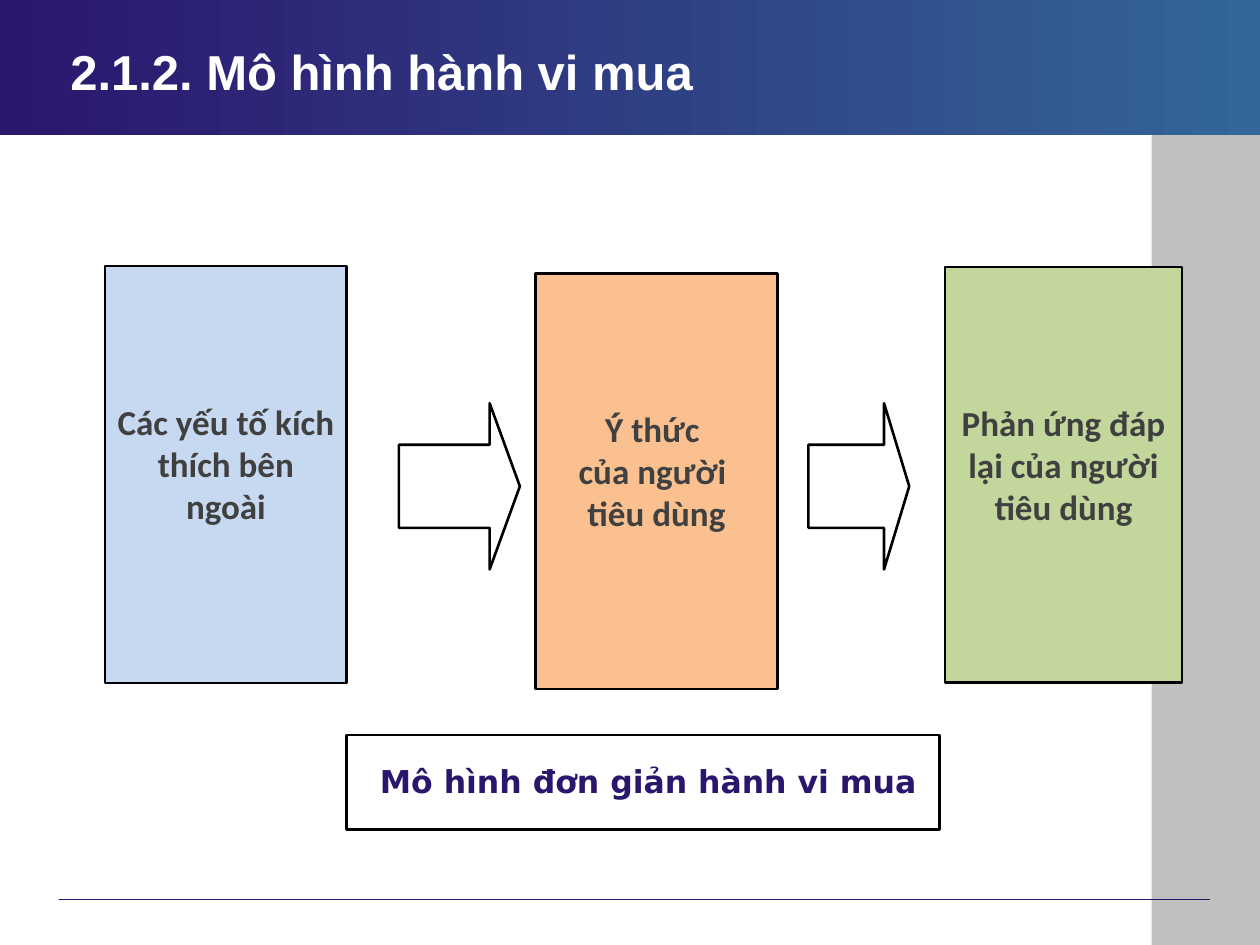
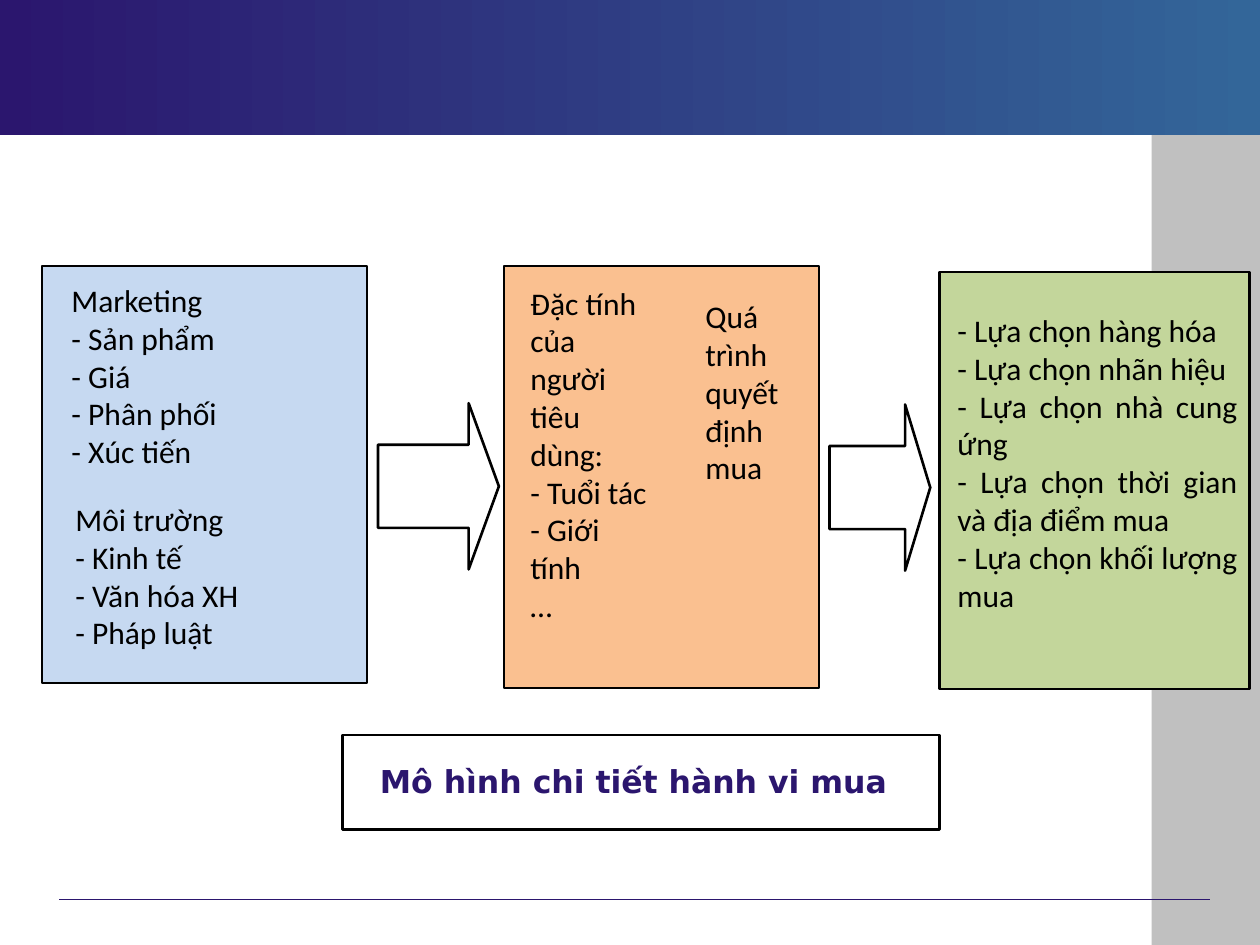
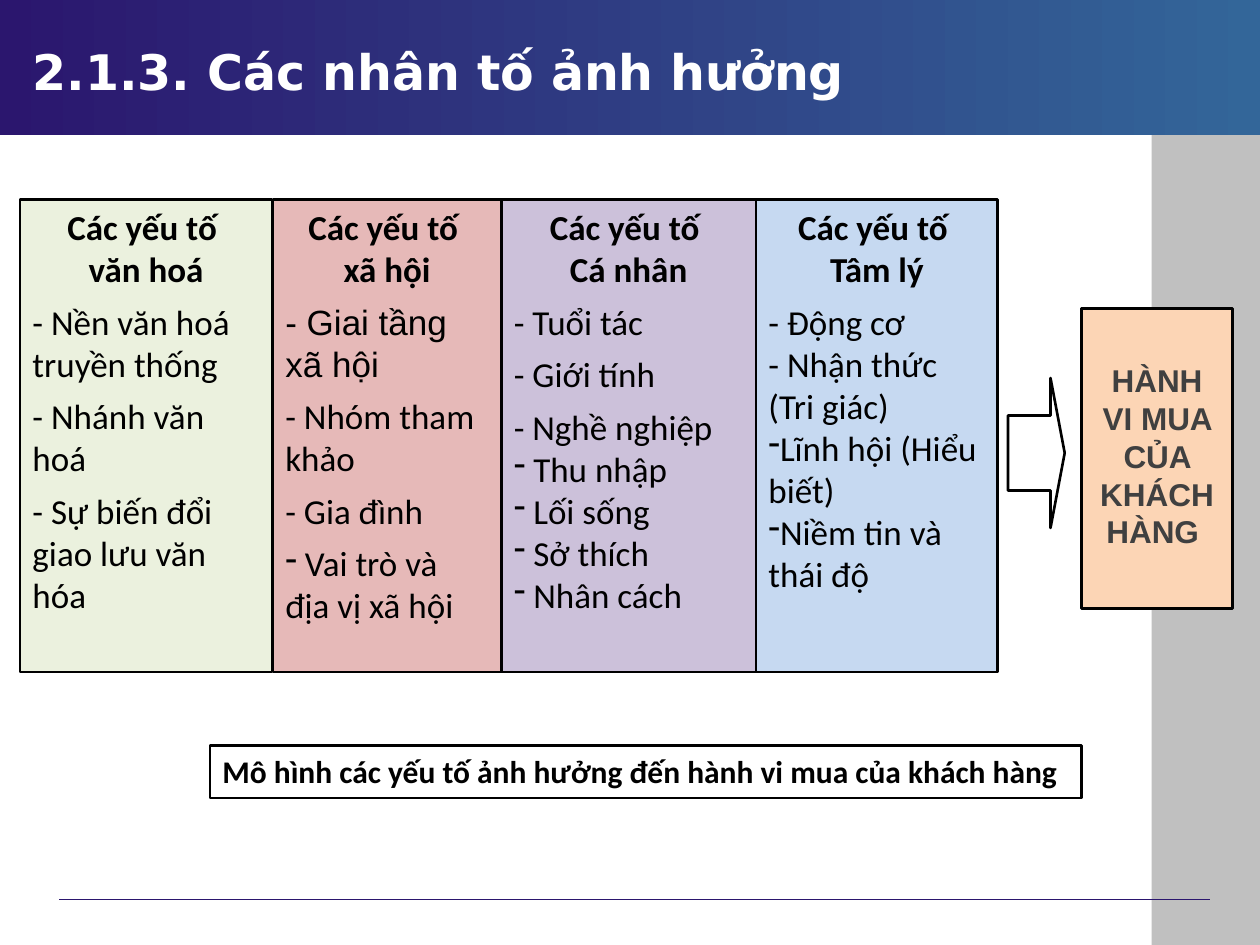
from lxml.etree import SubElement
from pptx import Presentation
from pptx.dml.color import RGBColor
from pptx.enum.shapes import MSO_CONNECTOR, MSO_SHAPE
from pptx.enum.text import MSO_ANCHOR, PP_ALIGN
from pptx.oxml.ns import qn
from pptx.util import Pt

NAVY, TEAL, GREY = "2B166E", "336699", "C0C0C0"
WHITE, BLACK, CHARCOAL = "FFFFFF", "000000", "404040"
BLUE, ORANGE, GREEN = "C6D9F1", "FAC090", "C3D69B"
PALE_GREEN, ROSE, LILAC, PEACH = "EBF1DE", "E6B9B8", "CCC1DA", "FCD5B5"


def add_box(slide, frame, fill=WHITE, kind=MSO_SHAPE.RECTANGLE):
    """Add an outlined shape; frame is left, top, width, height in points."""
    shape = slide.shapes.add_shape(kind, *map(Pt, frame))
    shape.shadow.inherit = False
    shape.fill.solid()
    shape.fill.fore_color.rgb = RGBColor.from_string(fill)
    shape.line.color.rgb = RGBColor.from_string(BLACK)
    shape.line.width = Pt(1.5)
    if kind == MSO_SHAPE.RIGHT_ARROW:
        shape.adjustments[0] = 0.5
        shape.adjustments[1] = 0.25
    return shape


def write(shape, lines, size, color=BLACK, font="Calibri", bold=False,
          alignment=PP_ALIGN.LEFT, anchor=MSO_ANCHOR.TOP, bullets_from=99):
    """Fill a shape with one paragraph per line, dash bullets from an index on."""
    text_frame = shape.text_frame
    text_frame.word_wrap = True
    text_frame.vertical_anchor = anchor
    text_frame.text = "\n".join(lines)
    for index, paragraph in enumerate(text_frame.paragraphs):
        paragraph.alignment = alignment
        if index >= bullets_from:
            properties = paragraph._p.get_or_add_pPr()
            properties.set("marL", "0")
            properties.set("indent", "0")
            SubElement(properties, qn("a:buChar")).set("char", "-")
        paragraph.font.size = Pt(size)
        paragraph.font.name = font
        paragraph.font.bold = bold
        paragraph.font.color.rgb = RGBColor.from_string(color)


presentation = Presentation()
presentation.slide_width, presentation.slide_height = Pt(720), Pt(540)
layout = presentation.slide_layouts.get_by_name("Title Only")
simple_slide, detailed_slide, factors_slide = [
    presentation.slides.add_slide(layout) for _ in range(3)]

# Shared background, moved onto the layout
side_band = add_box(simple_slide, (658, 77, 62, 463), GREY)
side_band.line.fill.background()
footer_line = simple_slide.shapes.add_connector(
    MSO_CONNECTOR.STRAIGHT, Pt(33.8), Pt(514), Pt(691.2), Pt(514))
footer_line.line.color.rgb = RGBColor.from_string(NAVY)
footer_line.line.width = Pt(0.75)
SubElement(footer_line.element.spPr, qn("a:effectLst"))
title_band = add_box(simple_slide, (0, 0, 720, 77))
title_band.line.fill.background()
title_band.fill.gradient()
title_band.fill.gradient_angle = 0
for stop, color in zip(title_band.fill.gradient_stops, (NAVY, TEAL)):
    stop.color.rgb = RGBColor.from_string(color)
for position, shape in enumerate((side_band, footer_line, title_band), start=2):
    layout.shapes.element.insert(position, shape.element)

# Titles
for slide, left, text, font in (
        (simple_slide, 33, "2.1.2. Mô hình hành vi mua", "Arial"),
        (factors_slide, 11.5, "2.1.3. Các nhân tố ảnh hưởng", "DejaVu Sans")):
    title = slide.shapes.title
    title.left, title.top, title.width, title.height = map(Pt, (left, 18, 486, 44.6))
    write(title, [text], 28, WHITE, font, True, anchor=MSO_ANCHOR.MIDDLE)
unused_title = detailed_slide.shapes.title.element
unused_title.getparent().remove(unused_title)

# Slide 1: simple model
for frame, fill, lines in (
        ((540, 152.6, 135.4, 237.6), GREEN, ["Phản ứng đáp lại của người tiêu dùng"]),
        ((306, 156.2, 138.2, 237.6), ORANGE, ["Ý thức ", "của người ", "tiêu dùng"]),
        ((60, 152, 138.2, 238.3), BLUE, ["Các yếu tố kích thích bên ngoài"])):
    box = add_box(simple_slide, frame, fill)
    write(box, lines, 20, CHARCOAL, bold=True, alignment=PP_ALIGN.CENTER)
    box.text_frame.margin_top = Pt(76.8)

# Slide 2: detailed model
for frame, fill in (((537, 155.5, 177.1, 238.3), GREEN),
                    ((288, 152, 180, 241.2), ORANGE),
                    ((24, 152, 185.8, 238.3), BLUE)):
    add_box(detailed_slide, frame, fill)

# Arrows of all three slides
for slide, frame in ((simple_slide, (228, 230.4, 69.1, 95)),
                     (simple_slide, (462, 230.4, 57.6, 95)),
                     (detailed_slide, (216, 230.4, 69.1, 95)),
                     (detailed_slide, (474, 231.1, 57.6, 95)),
                     (factors_slide, (576, 216, 32.4, 85.7))):
    add_box(slide, frame, kind=MSO_SHAPE.RIGHT_ARROW)

# Captions of slides 1 and 2
for slide, left, text in ((simple_slide, 198, "Mô hình đơn giản hành vi mua"),
                          (detailed_slide, 195.6, "Mô hình chi tiết hành vi mua")):
    add_box(slide, (left, 420, 537 - left, 54))
    caption = slide.shapes.add_textbox(Pt(210), Pt(432), Pt(336), Pt(29))
    write(caption, [text], 18, NAVY, "DejaVu Sans", True)

# Lists of slide 2
for frame, alignment, lines in (
        ((33.8, 157, 102, 116), PP_ALIGN.LEFT,
         ["Marketing", "- Sản phẩm", "- Giá", "- Phân phối", "- Xúc tiến"]),
        ((36, 282.2, 144, 94.3), PP_ALIGN.LEFT,
         ["Môi trường", "- Kinh tế", "- Văn hóa XH", "- Pháp luật"]),
        ((296, 158.6, 80.6, 225.4), PP_ALIGN.LEFT,
         ["Đặc tính của người tiêu dùng:", "- Tuổi tác", "- Giới tính", "…"]),
        ((540, 174.2, 174.2, 181.4), PP_ALIGN.JUSTIFY,
         ["- Lựa chọn hàng hóa", "- Lựa chọn nhãn hiệu ", "- Lựa chọn nhà cung ứng ",
          "- Lựa chọn thời gian và địa điểm mua ", "- Lựa chọn khối lượng mua"]),
        ((396, 166.3, 66.2, 116.6), PP_ALIGN.LEFT, ["Quá trình quyết định mua"])):
    text_box = detailed_slide.shapes.add_textbox(*map(Pt, frame))
    write(text_box, lines, 18, alignment=alignment)

# Slide 3: factor columns, spaced up to one paragraph and bulleted from another
factor_columns = (
    (11.5, 144, PALE_GREEN, PP_ALIGN.LEFT, 4, 99,
     ["văn hoá", "- Nền văn hoá truyền thống", "- Nhánh văn hoá",
      "- Sự biến đổi giao lưu văn hóa"]),
    (156, 130.5, ROSE, PP_ALIGN.LEFT, 4, 5,
     ["xã hội", "- Giai tầng xã hội", "- Nhóm tham khảo", "- Gia đình",
      " Vai trò và địa vị xã hội"]),
    (286.5, 145.5, LILAC, PP_ALIGN.JUSTIFY, 3, 5,
     ["Cá nhân", "- Tuổi tác", "- Giới tính", "- Nghề nghiệp", " Thu nhập",
      " Lối sống ", " Sở thích ", " Nhân cách "]),
    (432, 138.2, BLUE, PP_ALIGN.LEFT, 1, 4,
     ["Tâm lý", "- Động cơ", "- Nhận thức (Tri giác)", "Lĩnh hội (Hiểu biết)",
      "Niềm tin và thái độ"]))
for left, width, fill, alignment, last_spaced, bullets_from, lines in factor_columns:
    column = add_box(factors_slide, (left, 114, width, 270), fill)
    write(column, ["Các yếu tố ", *lines], 20, alignment=alignment,
          bullets_from=bullets_from)
    paragraphs = column.text_frame.paragraphs
    for heading in paragraphs[:2]:
        heading.alignment = PP_ALIGN.CENTER
        heading.font.bold = True
    for paragraph in paragraphs[1:last_spaced + 1]:
        paragraph.space_after = Pt(6)
    if fill == ROSE:
        paragraphs[2].font.name = "Arial"

behaviour_box = add_box(factors_slide, (618, 176.4, 86.4, 171.4), PEACH)
write(behaviour_box, ["HÀNH VI MUA CỦA KHÁCH HÀNG "], 18, CHARCOAL, "Arial", True,
      PP_ALIGN.CENTER)
behaviour_box.text_frame.margin_top = Pt(30)
model_caption = add_box(factors_slide, (120, 426, 498, 30))
write(model_caption, ["Mô hình các yếu tố ảnh hưởng đến hành vi mua của khách hàng"],
      18, bold=True)

presentation.save("out.pptx")
